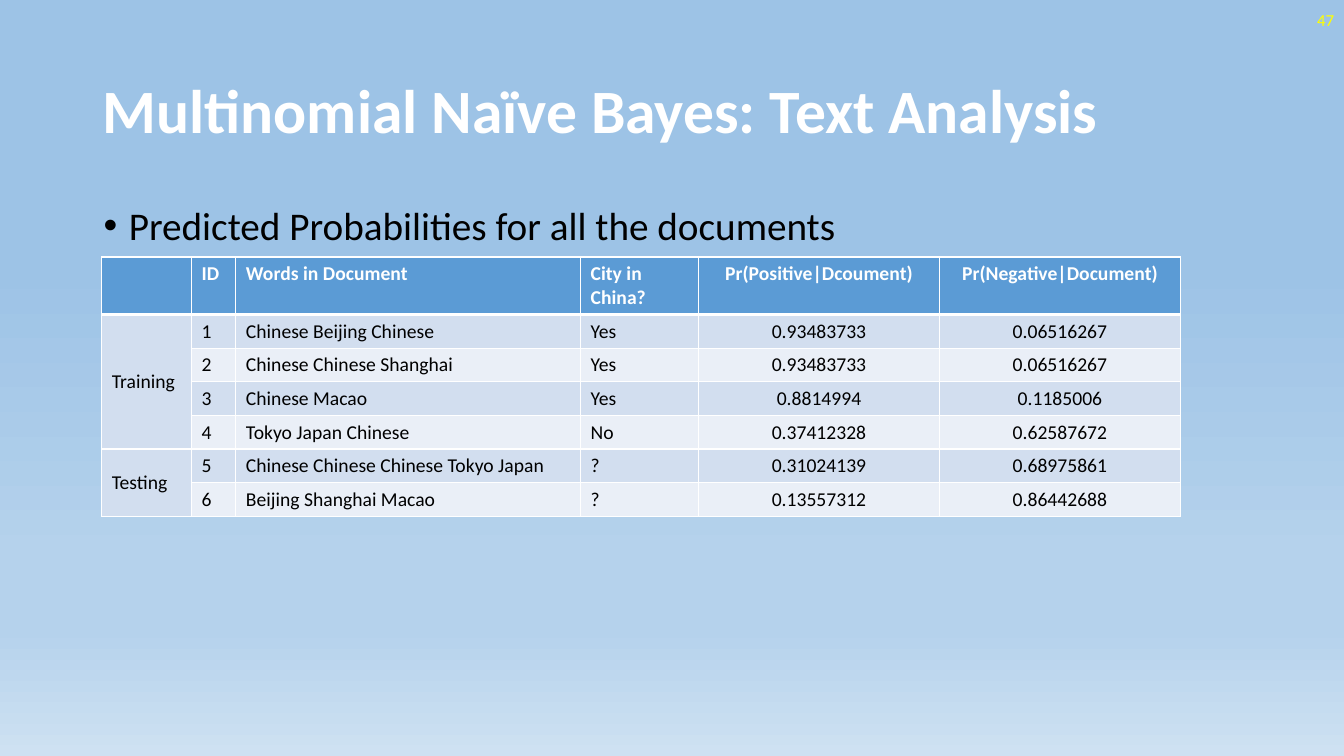
from lxml import etree
from pptx import Presentation
from pptx.dml.color import RGBColor
from pptx.enum.text import MSO_ANCHOR, MSO_AUTO_SIZE, PP_ALIGN
from pptx.oxml.ns import qn
from pptx.util import Inches, Pt

LEFT, CENTER, RIGHT = PP_ALIGN.LEFT, PP_ALIGN.CENTER, PP_ALIGN.RIGHT
TOP, MIDDLE = MSO_ANCHOR.TOP, MSO_ANCHOR.MIDDLE
NO_AUTOFIT = MSO_AUTO_SIZE.NONE

COLORS = {
    "white": "FFFFFF", "black": "000000", "yellow": "FFFF00",
    "header": "5B9BD5", "band_dark": "D2DEEF", "band_light": "EAEFF7",
}
BACKGROUND_STOPS = [(35, "9DC3E6"), (74, "B5D2EC"), (83, "B5D2EC"), (100, "CEE1F2")]

HEADINGS = ["", "ID", "Words in Document", "City in China?",
            "Pr(Positive|Dcoument)", "Pr(Negative|Document)"]
DOCUMENTS = [
    ("Training", "1", "Chinese Beijing Chinese", "Yes", "0.93483733", "0.06516267"),
    ("", "2", "Chinese Chinese Shanghai", "Yes", "0.93483733", "0.06516267"),
    ("", "3", "Chinese Macao", "Yes", "0.8814994", "0.1185006"),
    ("", "4", "Tokyo Japan Chinese", "No", "0.37412328", "0.62587672"),
    ("Testing", "5", "Chinese Chinese Chinese Tokyo Japan", "?", "0.31024139", "0.68975861"),
    ("", "6", "Beijing Shanghai Macao", "?", "0.13557312", "0.86442688"),
]
SET_ROWS = [(1, 4), (5, 6)]  # first and last table row of each document set
COLUMN_WIDTHS = [0.89, 0.44, 3.42, 1.17, 2.39, 2.39]
FIRST_PROBABILITY_COLUMN = 4
HEADER_HEIGHT, DOCUMENT_HEIGHT = 0.57, 0.33


class SlideBuilder:
    font_name = "Calibri"

    def __init__(self, slide):
        self.slide = slide

    def background(self, stops):
        fill = self.slide.background.fill
        fill.gradient()
        fill.gradient_angle = 270
        stop_list = self.slide.element.find(".//" + qn("a:gsLst"))
        for default_stop in list(stop_list):
            stop_list.remove(default_stop)
        for percent, color in stops:
            stop = etree.SubElement(stop_list, qn("a:gs"), pos=str(percent * 1000))
            etree.SubElement(stop, qn("a:srgbClr"), val=color)

    def style(self, paragraph, size, color, bold=False, align=LEFT):
        paragraph.alignment = align
        font = paragraph.font
        font.name, font.size, font.bold = self.font_name, Pt(size), bold
        font.color.rgb = RGBColor.from_string(COLORS[color])

    def title(self, text, left, top, width, height):
        title = self.slide.shapes.title
        title.left, title.top = Inches(left), Inches(top)
        title.width, title.height = Inches(width), Inches(height)
        frame = title.text_frame
        frame.text = text
        frame.auto_size = NO_AUTOFIT
        frame.vertical_anchor = MIDDLE
        frame.paragraphs[0].line_spacing = 0.9
        self.style(frame.paragraphs[0], 44, "white", bold=True)

    def text(self, text, left, top, width, height, size, color, align=LEFT, anchor=TOP):
        box = self.slide.shapes.add_textbox(
            Inches(left), Inches(top), Inches(width), Inches(height))
        frame = box.text_frame
        frame.word_wrap = True
        frame.vertical_anchor = anchor
        paragraph = frame.paragraphs[0]
        paragraph.text = text
        self.style(paragraph, size, color, align=align)
        return paragraph

    def bullet(self, text, left, top, width, height, size, color):
        paragraph = self.text(text, left, top, width, height, size, color)
        paragraph.line_spacing = 0.9
        properties = paragraph.font._element.getparent()
        properties.set("marL", str(Inches(0.25)))
        properties.set("indent", str(-Inches(0.25)))
        marker_font = etree.Element(qn("a:buFont"), typeface="Arial")
        marker = etree.Element(qn("a:buChar"), char="•")
        for element in (marker_font, marker):
            properties.find(qn("a:defRPr")).addprevious(element)

    def borders(self, cell, top, bottom):
        """Draw white cell borders; top and bottom are widths in points."""
        properties = cell._tc.get_or_add_tcPr()
        for side, width in (("L", 1), ("R", 1), ("T", top), ("B", bottom)):
            line = etree.SubElement(properties, qn("a:ln" + side), w=str(Pt(width)))
            fill = etree.SubElement(line, qn("a:solidFill"))
            etree.SubElement(fill, qn("a:srgbClr"), val=COLORS["white"])

    def table(self, rows, left, top):
        height = HEADER_HEIGHT + DOCUMENT_HEIGHT * (len(rows) - 1)
        table = self.slide.shapes.add_table(
            len(rows), len(COLUMN_WIDTHS), Inches(left), Inches(top),
            Inches(sum(COLUMN_WIDTHS)), Inches(height)).table
        for column, width in zip(table.columns, COLUMN_WIDTHS):
            column.width = Inches(width)
        for r, values in enumerate(rows):
            is_header = r == 0
            table.rows[r].height = Inches(HEADER_HEIGHT if is_header else DOCUMENT_HEIGHT)
            band = "header" if is_header else "band_dark" if r % 2 else "band_light"
            for c, value in enumerate(values):
                cell = table.cell(r, c)
                cell.text = value
                cell.vertical_anchor = MIDDLE if c == 0 else TOP
                self.style(cell.text_frame.paragraphs[0], 14,
                           "white" if is_header else "black", bold=is_header,
                           align=CENTER if c >= FIRST_PROBABILITY_COLUMN else LEFT)
                self.borders(cell, top=3 if r == 1 else 1, bottom=3 if is_header else 1)
                cell.fill.solid()
                cell.fill.fore_color.rgb = RGBColor.from_string(COLORS[band])
        for first, last in SET_ROWS:
            table.cell(first, 0).merge(table.cell(last, 0))


def main():
    presentation = Presentation()
    presentation.slide_width, presentation.slide_height = Inches(13.33), Inches(7.5)
    title_only = presentation.slide_layouts[5]
    builder = SlideBuilder(presentation.slides.add_slide(title_only))
    builder.background(BACKGROUND_STOPS)
    builder.title("Multinomial Naïve Bayes: Text Analysis", 0.92, 0.4, 11.5, 1.45)
    builder.bullet("Predicted Probabilities for all the documents",
                   0.93, 2, 11.5, 4.76, 28, "black")
    builder.text("47", 10.33, 0, 3, 0.4, 12, "yellow", align=RIGHT, anchor=MIDDLE)
    builder.table([HEADINGS] + DOCUMENTS, 1.01, 2.55)
    presentation.save("out.pptx")


if __name__ == "__main__":
    main()
